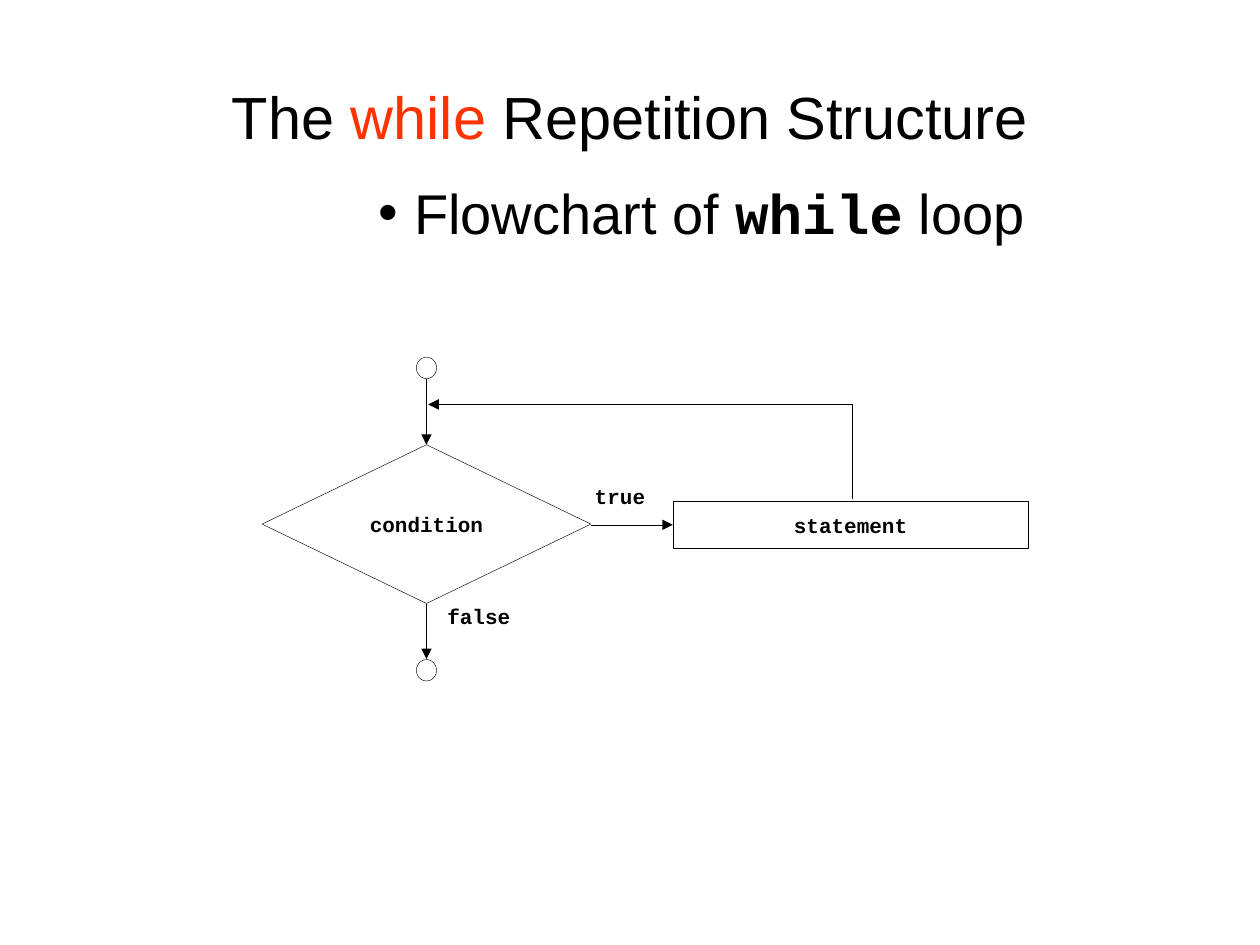
from lxml import etree
from pptx import Presentation
from pptx import util as u
from pptx.dml.color import RGBColor
from pptx.enum import shapes, text
from pptx.oxml.ns import qn

WIDTH, HEIGHT = 10, 7.5
BLACK, RED, WHITE = "000000", "FF3300", "FFFFFF"
SANS, MONO = "Arial", "Courier New"
LINE_WIDTH = 0.26

# Flowchart axes
MAIN_X = 3.385        # start, condition and end
STATEMENT_X = 6.75
LOOP_Y = 3.21         # return path
STEP_Y = 4.165        # condition and statement


def color(value):
    return RGBColor.from_string(value)


def add_spans(frame, spans, size, align):
    """Fill one paragraph with (words, font, colour, bold) spans."""
    frame.margin_left = frame.margin_right = 0
    frame.margin_top = frame.margin_bottom = 0
    para = frame.paragraphs[0]
    para.alignment = align
    for words, font, shade, bold in spans:
        span = para.add_run()
        span.text = words
        span.font.name = font
        span.font.size = u.Pt(size)
        span.font.bold = bold
        span.font.color.rgb = color(shade)
    return para


def add_text(page, place, spans, size, align=text.PP_ALIGN.CENTER,
             anchor=text.MSO_ANCHOR.TOP):
    box = page.shapes.add_textbox(*map(u.Inches, place))
    frame = box.text_frame
    frame.word_wrap = True
    frame.vertical_anchor = anchor
    return add_spans(frame, spans, size, align)


def add_bullet(para, indent, hanging):
    props = para._p.get_or_add_pPr()
    props.set("marL", str(u.Inches(indent)))
    props.set("indent", str(-u.Inches(hanging)))
    etree.SubElement(props, qn("a:buFont"), typeface=SANS)
    etree.SubElement(props, qn("a:buChar"), char="•")


def add_node(page, kind, center, size, label=None, fill=None):
    """Draw an outlined flowchart symbol around its centre."""
    (x, y), (width, height) = center, size
    place = (x - width / 2, y - height / 2, width, height)
    node = page.shapes.add_shape(kind, *map(u.Inches, place))
    node.shadow.inherit = False
    if fill:
        node.fill.solid()
        node.fill.fore_color.rgb = color(fill)
    else:
        node.fill.background()
    node.line.color.rgb = color(BLACK)
    node.line.width = u.Pt(LINE_WIDTH)
    if label:
        node.text_frame.vertical_anchor = text.MSO_ANCHOR.MIDDLE
        add_spans(node.text_frame, [(label, MONO, BLACK, True)], 12,
                  text.PP_ALIGN.CENTER)


def add_line(page, start, end, arrow=True):
    line = page.shapes.add_connector(
        shapes.MSO_CONNECTOR.STRAIGHT, *map(u.Inches, start + end))
    line.line.color.rgb = color(BLACK)
    line.line.width = u.Pt(LINE_WIDTH)
    if arrow:
        etree.SubElement(line.line._get_or_add_ln(), qn("a:tailEnd"),
                         type="triangle")
    etree.SubElement(line._element.spPr, qn("a:effectLst"))


def add_heading(page):
    add_text(page, (0.75, 0.67, 8.5, 0.5),
             [("The ", SANS, BLACK, False), ("while", SANS, RED, False),
              (" Repetition Structure", SANS, BLACK, False)],
             34, anchor=text.MSO_ANCHOR.MIDDLE)
    para = add_text(page, (1.25, 1.42, 8.5, 4.5),
                    [("Flowchart of ", SANS, BLACK, False),
                     ("while", MONO, BLACK, True),
                     (" loop", SANS, BLACK, False)], 32)
    para.space_before = u.Pt(8)
    add_bullet(para, 0.42, 0.28)


def add_flowchart(page):
    kinds = shapes.MSO_SHAPE

    # Symbols
    add_node(page, kinds.DIAMOND, (MAIN_X, STEP_Y - 0.005), (2.61, 1.26),
             "condition", WHITE)
    add_node(page, kinds.RECTANGLE, (STATEMENT_X, STEP_Y), (2.82, 0.38),
             "statement")
    for y in (2.92, 5.32):
        add_node(page, kinds.OVAL, (MAIN_X, y), (0.16, 0.17))

    # Flow and return path
    for start, end, arrow in (
            ((MAIN_X, 3.01), (MAIN_X, 3.53), True),
            ((MAIN_X, 4.79), (MAIN_X, 5.23), True),
            ((4.69, STEP_Y), (5.34, STEP_Y), True),
            ((STATEMENT_X + 0.01, 3.96), (STATEMENT_X + 0.01, LOOP_Y), False),
            ((STATEMENT_X + 0.02, LOOP_Y), (3.4, LOOP_Y), True)):
        add_line(page, start, end, arrow)

    # Branch labels
    for words, place in (("true", (4.72, 3.84, 0.58, 0.35)),
                         ("false", (3.55, 4.79, 0.71, 0.35))):
        add_text(page, place, [(words, MONO, BLACK, True)], 12,
                 text.PP_ALIGN.LEFT)


def main():
    deck = Presentation()
    deck.slide_width, deck.slide_height = u.Inches(WIDTH), u.Inches(HEIGHT)
    page = deck.slides.add_slide(deck.slide_layouts[6])
    page.background.fill.solid()
    page.background.fill.fore_color.rgb = color(WHITE)
    add_heading(page)
    add_flowchart(page)
    deck.save("out.pptx")


main()
